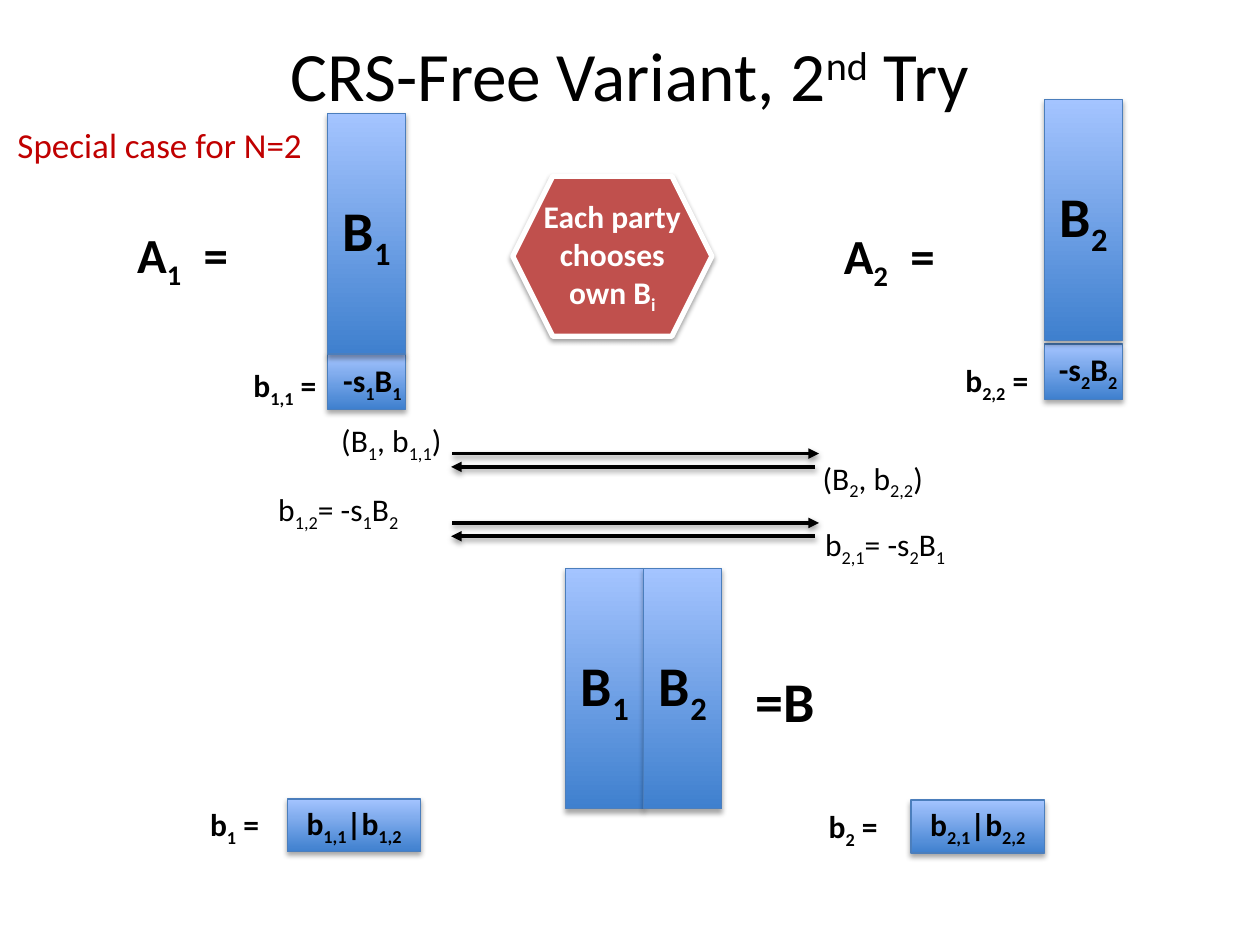
from dataclasses import dataclass

from lxml.etree import SubElement
from pptx import Presentation
from pptx.dml.color import RGBColor as Color
from pptx.enum.shapes import MSO_CONNECTOR as Connector, MSO_SHAPE as Preset
from pptx.enum.text import MSO_ANCHOR as Anchor, PP_ALIGN as Align
from pptx.oxml.ns import qn
from pptx.util import Pt


@dataclass(frozen=True)
class Theme:
    font: str = "Calibri"
    ink: str = "000000"
    paper: str = "FFFFFF"
    note: str = "C00000"
    badge: str = "C0504D"
    edge: str = "4B7EBC"
    deep: str = "3F80CE"
    light: str = "A4C4FF"
    title: float = 39.6
    matrix: float = 32
    party: float = 28
    remark: float = 20
    label: float = 18


class Slide:
    def __init__(self, page, theme):
        self.page = page
        self.theme = theme

    def set_text(self, frame, text, size, color=None, bold=False,
                 align=Align.LEFT, anchor=Anchor.TOP, shift=-25):
        frame.word_wrap = True
        frame.vertical_anchor = anchor
        frame.margin_left = Pt(7.2 if align == Align.LEFT else 0)
        frame.margin_right = Pt(0)
        para = frame.paragraphs[0]
        para.alignment = align
        for index, part in enumerate(text.split("_")):
            if not part:
                continue
            span = para.add_run()
            span.text = part
            span.font.name = self.theme.font
            span.font.size = Pt(size)
            span.font.bold = bold
            span.font.color.rgb = Color.from_string(color or self.theme.ink)
            if index % 2:
                span.font._element.set("baseline", str(shift * 1000))
        return para

    def add_shadow(self, shape, alpha, distance):
        properties = shape._element.spPr
        effects = properties.find(qn("a:effectLst"))
        if effects is None:
            effects = SubElement(properties, qn("a:effectLst"))
        shadow = SubElement(effects, qn("a:outerShdw"), blurRad=str(int(Pt(3.1))),
                            dist=str(int(Pt(distance))), dir="5400000",
                            rotWithShape="0")
        tint = SubElement(shadow, qn("a:srgbClr"), val=self.theme.ink)
        SubElement(tint, qn("a:alpha"), val=str(alpha * 1000))

    def title(self, text, *place):
        holder = self.page.shapes.title
        holder.left, holder.top, holder.width, holder.height = map(Pt, place)
        holder.text_frame.margin_top = Pt(0)
        self.set_text(holder.text_frame, text, self.theme.title,
                      align=Align.CENTER, shift=30)

    def label(self, text, *place, size=None, **style):
        box = self.page.shapes.add_textbox(*map(Pt, place))
        return self.set_text(box.text_frame, text, size or self.theme.label, **style)

    def party(self, text, *place):
        para = self.label(text, *place, size=self.theme.party, bold=True)
        tabs = SubElement(para._p.get_or_add_pPr(), qn("a:tabLst"))
        SubElement(tabs, qn("a:tab"), pos=str(int(Pt(38))), algn="l")

    def shape(self, preset, place, edge, weight):
        shape = self.page.shapes.add_shape(preset, *map(Pt, place))
        shape.shadow.inherit = False
        shape.line.color.rgb = Color.from_string(edge)
        shape.line.width = Pt(weight)
        return shape

    def block(self, text, *place, size=None):
        block = self.shape(Preset.RECTANGLE, place, self.theme.edge, 0.75)
        block.fill.gradient()
        block.fill.gradient_angle = 90
        for stop, color in zip(block.fill.gradient_stops,
                               (self.theme.deep, self.theme.light)):
            stop.color.rgb = Color.from_string(color)
        self.add_shadow(block, 35, 1.8)
        if text:
            self.set_text(block.text_frame, text, size or self.theme.label, bold=True,
                          align=Align.CENTER, anchor=Anchor.MIDDLE)

    def matrix(self, text, left, top):
        self.block(text, left, top, 44.6, 137.5, size=self.theme.matrix)

    def badge(self, text, *place):
        badge = self.shape(Preset.HEXAGON, place, self.theme.paper, 3)
        badge.fill.solid()
        badge.fill.fore_color.rgb = Color.from_string(self.theme.badge)
        self.add_shadow(badge, 38, 1.6)
        self.set_text(badge.text_frame, text, self.theme.label, color=self.theme.paper,
                      bold=True, align=Align.CENTER, anchor=Anchor.MIDDLE)

    def arrow(self, start, end, top):
        arrow = self.page.shapes.add_connector(
            Connector.STRAIGHT, Pt(start), Pt(top), Pt(end), Pt(top))
        arrow.line.color.rgb = Color.from_string(self.theme.ink)
        arrow.line.width = Pt(2)
        outline = arrow._element.spPr.find(qn("a:ln"))
        SubElement(outline, qn("a:tailEnd"), type="triangle")
        self.add_shadow(arrow, 38, 1.6)


def main():
    deck = Presentation()
    deck.slide_width, deck.slide_height = Pt(720), Pt(540)
    theme = Theme()
    slide = Slide(deck.slides.add_slide(deck.slide_layouts[5]), theme)
    center = {"bold": True, "align": Align.CENTER}

    slide.title("CRS-Free Variant, 2_nd_ Try", 36, 18.5, 648, 90)
    slide.party("A_2_\t=", 475.2, 125.3, 119.5, 41)
    slide.party("A_1_\t=", 71.3, 124.6, 119.5, 41)
    slide.label("Special case for N=2", 2.9, 67, 178.6, 31.7,
                size=theme.remark, color=theme.note)
    slide.badge("Each party chooses own B_i_", 293, 100.8, 113.8, 91.4)

    for top in (259.2, 298.8):
        slide.arrow(258.5, 468, top)
        slide.arrow(465.8, 257.8, top + 7.6)
    for text, left, top, width in (
        ("(B_2_, b_2,2_)", 463, 258.5, 87.8),
        ("(B_1_, b_1,1_)", 187.9, 236.9, 75.6),
        ("b_2,1_= -s_2_B_1_", 464.4, 296.6, 116.6),
        ("b_1,2_= -s_1_B_2_", 151.9, 276.5, 116.6),
    ):
        slide.label(text, left, top, width, 28.8)

    slide.matrix("B_1_", 323.3, 324.7)
    slide.matrix("B_2_", 367.9, 324.7)
    slide.label("=B", 424.8, 377.3, 49, 46, size=theme.matrix, bold=True)

    for left, top in ((187.2, 202.3), (596.9, 196.6)):
        slide.block("", left, top, 44.6, 31.7)
    slide.matrix("B_1_", 187.2, 64.8)
    slide.matrix("B_2_", 596.9, 56.9)
    slide.label("-s_1_B_1_", 187.9, 203, 49.7, 28.8, **center)
    slide.label("-s_2_B_2_", 596.9, 196.6, 49.7, 28.8, **center)

    slide.block("b_1,1_|b_1,2_", 164.2, 456.5, 76.3, 30.2)
    slide.block("b_2,1_|b_2,2_", 520.6, 457.2, 76.3, 30.2)
    for text, left, top in (
        ("b_1,1_ = ", 126.7, 205.9),
        ("b_2,2_ = ", 533.5, 203),
        ("b_1_ = ", 97.9, 456.5),
        ("b_2_ = ", 451.4, 457.9),
    ):
        slide.label(text, left, top, 76.3, 28.8, **center)

    deck.save("out.pptx")


if __name__ == "__main__":
    main()
